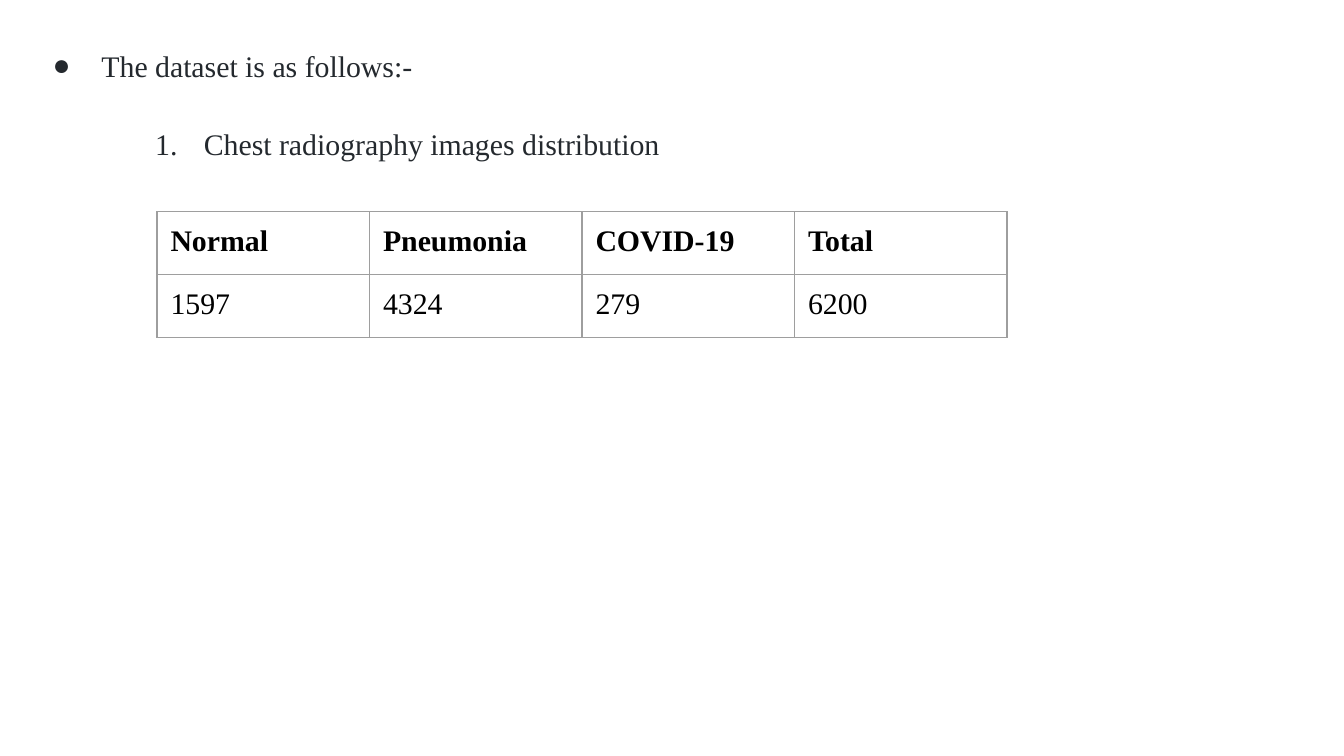
from lxml import etree
from pptx import Presentation
from pptx.dml.color import RGBColor
from pptx.enum import text
from pptx.oxml.ns import qn
from pptx.util import Emu, Pt

PX = 5715  # 160 px to the inch


def px(n):
    return Emu(n * PX)


def rgb(value):
    return RGBColor.from_string(value)


def add_color(parent, value):
    fill = etree.SubElement(parent, qn("a:solidFill"))
    etree.SubElement(fill, qn("a:srgbClr"), val=value)


class Deck:
    FONT, SIZE = "Times New Roman", 16
    INK, BLACK, RULE = "24292E", "000000", "9E9E9E"
    INSET = 16

    def __init__(self, width, height):
        self.prs = Presentation()
        self.prs.slide_width, self.prs.slide_height = px(width), px(height)
        self.s = self.prs.slides.add_slide(self.prs.slide_layouts[6])

    def style(self, p, color, bold=False):
        f = p.font
        f.name, f.size, f.bold = self.FONT, Pt(self.SIZE), bold
        f.color.rgb = rgb(color)
        # The paragraph mark shares the font, so it does not stretch the line
        end = etree.SubElement(p._p, qn("a:endParaRPr"), sz=str(self.SIZE * 100))
        etree.SubElement(end, qn("a:latin"), typeface=self.FONT)

    def inset(self, box):
        box.margin_left = box.margin_right = px(self.INSET)
        box.margin_top = box.margin_bottom = px(self.INSET)

    def list_item(self, x, y, w, h, words, tag, **marker):
        tf = self.s.shapes.add_textbox(px(x), px(y), px(w), px(h)).text_frame
        tf.word_wrap = True
        tf.vertical_anchor = text.MSO_ANCHOR.TOP
        self.inset(tf)
        p = tf.paragraphs[0]
        p.text = words
        self.style(p, self.INK)
        # Hanging indent and marker
        pPr = p._p.get_or_add_pPr()
        pPr.set("marL", str(px(80)))
        pPr.set("indent", str(px(-58)))
        clr = etree.Element(qn("a:buClr"))
        etree.SubElement(clr, qn("a:srgbClr"), val=self.INK)
        font = etree.Element(qn("a:buFont"), typeface=self.FONT)
        pPr[:0] = [clr, font, etree.Element(qn(tag), **marker)]

    def table(self, x, y, col_w, row_h, rows):
        n, m = len(rows), len(rows[0])
        tbl = self.s.shapes.add_table(
            n, m, px(x), px(y), px(col_w * m), px(row_h * n)).table
        tbl.first_row = tbl.horz_banding = False
        for col in tbl.columns:
            col.width = px(col_w)
        for i, row in enumerate(rows):
            tbl.rows[i].height = px(row_h)
            for j, words in enumerate(row):
                self.cell(tbl.cell(i, j), words, bold=i == 0)

    def cell(self, cell, words, bold):
        self.inset(cell)
        p = cell.text_frame.paragraphs[0]
        p.text = words
        self.style(p, self.BLACK, bold)
        tcPr = cell._tc.get_or_add_tcPr()
        for side in "LRTB":
            ln = etree.SubElement(tcPr, qn("a:ln" + side), w=str(Pt(0.75)))
            add_color(ln, self.RULE)
        cell.fill.background()


def main():
    deck = Deck(1600, 900)

    # Introduction
    deck.list_item(25, 41, 1547, 840, "The dataset is as follows:-",
                   "a:buChar", char="●")

    # Image counts per class
    deck.table(187, 252, 253, 67, [
        ["Normal", "Pneumonia", "COVID-19", "Total"],
        ["1597", "4324", "279", "6200"],
    ])

    # Table heading
    deck.list_item(147, 134, 862, 64, "Chest radiography images distribution",
                   "a:buAutoNum", type="arabicPeriod")

    deck.prs.save("out.pptx")


if __name__ == "__main__":
    main()
